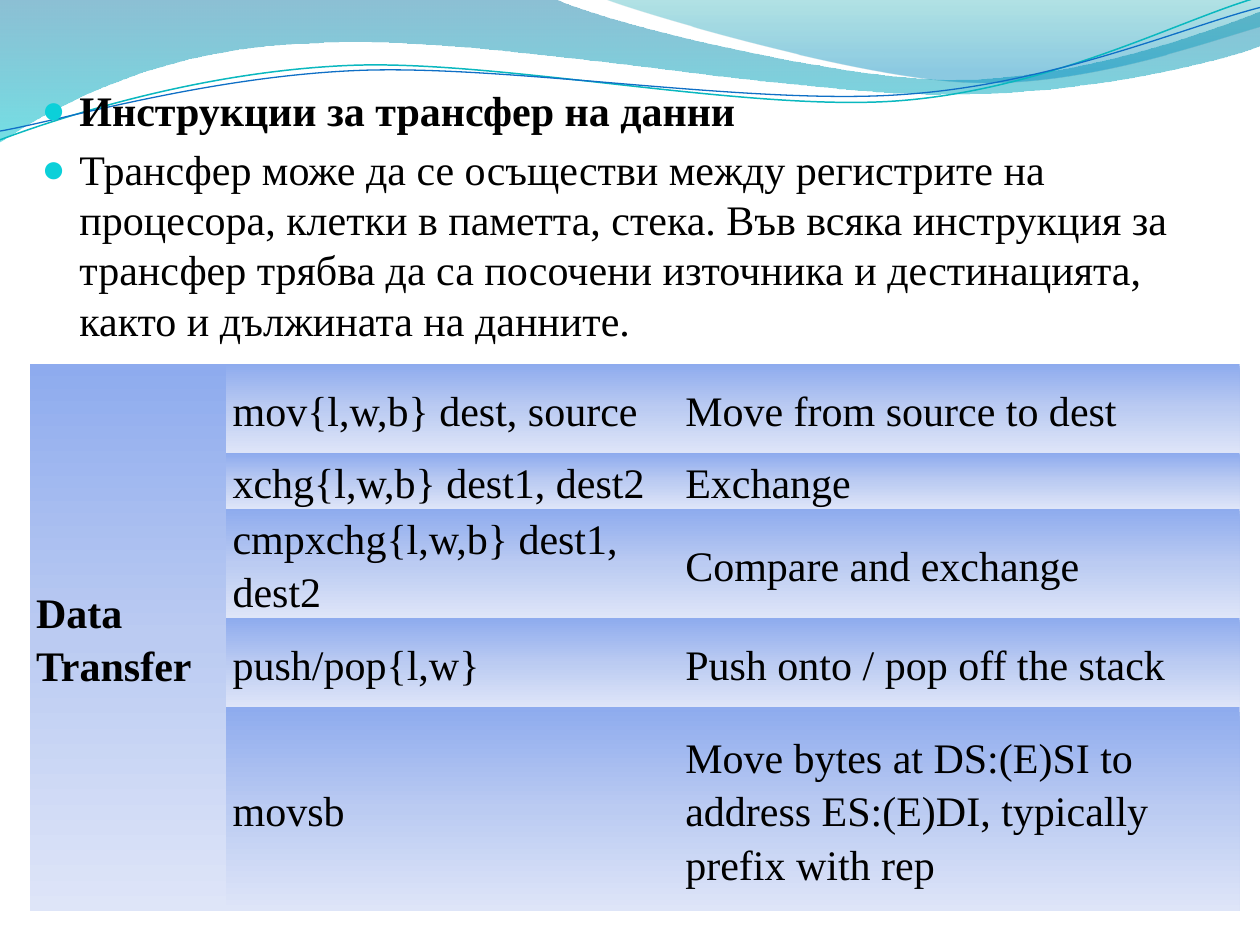
from dataclasses import dataclass
from math import cos, radians, sin

from lxml.etree import SubElement
from pptx import Presentation
from pptx.dml.color import RGBColor
from pptx.enum.text import MSO_ANCHOR, MSO_AUTO_SIZE
from pptx.oxml.ns import qn
from pptx.util import Pt


@dataclass(frozen=True)
class Theme:
    font: str = "Times New Roman"
    size: int = 24
    text: str = "000000"
    bullet: str = "0BD0D9"
    teal_line: str = "0AB8BF"
    blue_line: str = "0F6FC6"
    # Gradient stops: position %, colour, opacity %
    wide_wave: tuple = ((0, "0074A1", 45), (100, "00C6CF", 55))
    upper_wave: tuple = ((0, "00A1A9", 30), (80, "008BBF", 45))
    cell: tuple = ((0, "8EABEE", 100), (50, "BBCBF2", 100), (100, "DEE5F8", 100))


THEME = Theme()
NO_GRID_STYLE = "{2D5ABB26-0587-4C30-8999-92F81FD0307C}"
CURVE_TILT = -2.7

# Wave outlines in points: a pair is a straight step, six numbers are a cubic curve
WIDE_WAVE = [
    (0, 0), (316.8, -0.7),
    (342.7, 12.2, 478.1, 45.4, 545.8, 45.4),
    (614.2, 45.4, 689.8, 18.7, 720, 6.5),
    (720.7, 25.9),
    (707.8, 31.7, 626.4, 54.7, 537.1, 54),
    (447.8, 54, 275, 20.2, 185, 24.5),
    (92.9, 25.9, 33.1, 59.8, -0.7, 81.4),
    (0, 0),
]
UPPER_WAVE = [
    (344.9, -0.7),
    (366.5, 7.9, 491, 44.6, 553.7, 46.8),
    (619.2, 49.7, 691.9, 23, 720, 15.1),
    (720, 0), (344.9, -0.7),
]
TEAL_CURVE = [
    (0, 79.9),
    (34.6, 67, 113.8, 41, 199.4, 37.4),
    (284.4, 33.8, 427, 64.1, 513.4, 57.6),
    (599.8, 51.1, 675.4, 10.8, 718.6, -1.4),
]
BLUE_CURVE = [
    (0, 74.9),
    (33.8, 69.1, 118.1, 43.9, 203.8, 40.3),
    (290.2, 36.7, 429.8, 60.5, 516.2, 54),
    (601.9, 48.2, 677.5, 15.1, 720, 4.3),
]

BULLETS = [
    ("Инструкции за трансфер на данни", True),
    ("Трансфер може да се осъществи между регистрите на процесора, клетки в "
     "паметта, стека. Във всяка инструкция за трансфер трябва да са посочени "
     "източника и дестинацията, както и дължината на данните.", False),
]
GROUP = "Data Transfer"
INSTRUCTIONS = [
    ("mov{l,w,b} dest, source", "Move from source to dest"),
    ("xchg{l,w,b} dest1, dest2", "Exchange"),
    ("cmpxchg{l,w,b} dest1, dest2", "Compare and exchange"),
    ("push/pop{l,w}", "Push onto / pop off the stack"),
    ("movsb", "Move bytes at DS:(E)SI to address ES:(E)DI, typically prefix with rep"),
]
COLUMN_WIDTHS = (112.3, 258.7, 320.5)
ROW_HEIGHTS = (50.8, 18, 50.8, 50.8, 116.5)


def set_values(target, values):
    for name, value in values.items():
        setattr(target, name, value)


def set_gradient(fill, properties, stops):
    """Fill from top to bottom with stops that may be transparent."""
    fill.gradient()
    gradient = properties.find(qn("a:gradFill"))
    for child in list(gradient):
        gradient.remove(child)
    stop_list = SubElement(gradient, qn("a:gsLst"))
    for position, color, opacity in stops:
        stop = SubElement(stop_list, qn("a:gs"), pos=str(position * 1000))
        color_element = SubElement(stop, qn("a:srgbClr"), val=color)
        if opacity < 100:
            SubElement(color_element, qn("a:alpha"), val=str(opacity * 1000))
    SubElement(gradient, qn("a:lin"), ang="5400000", scaled="0")


def turn(point, center, degrees):
    angle = radians(degrees)
    x, y = point[0] - center[0], point[1] - center[1]
    return (center[0] + x * cos(angle) - y * sin(angle),
            center[1] + x * sin(angle) + y * cos(angle))


def add_outline(slide, outline, close, tilt=0, center=(0, 0)):
    """Build a freeform through all points, then join control points into curves."""
    points = [turn(step[i:i + 2], center, -tilt)
              for step in outline for i in range(0, len(step), 2)]
    points = [(Pt(x), Pt(y)) for x, y in points]
    builder = slide.shapes.build_freeform(*points[0])
    builder.add_line_segments(points[1:], close=close)
    shape = builder.convert_to_shape()
    segments = iter(list(shape._element.iter(qn("a:lnTo"))))
    for step in outline[1:]:
        lines = [next(segments) for _ in range(len(step) // 2)]
        if len(lines) == 3:
            curve = lines[0].makeelement(qn("a:cubicBezTo"))
            lines[0].addprevious(curve)
            for line in lines:
                curve.append(line[0])
                line.getparent().remove(line)
    shape.rotation = tilt
    shape.shadow.inherit = False
    return shape


def add_wave(slide, outline, stops):
    shape = add_outline(slide, outline, True)
    set_gradient(shape.fill, shape._element.spPr, stops)
    shape.line.fill.background()


def add_curve(slide, outline, center, color, width):
    shape = add_outline(slide, outline, False, CURVE_TILT, center)
    shape.fill.background()
    shape.line.color.rgb = RGBColor.from_string(color)
    shape.line.width = Pt(width)


def add_text(paragraph, text, bold):
    run = paragraph.add_run()
    run.text = text
    set_values(run.font, {"name": THEME.font, "size": Pt(THEME.size), "bold": bold})
    run.font.color.rgb = RGBColor.from_string(THEME.text)


def add_bullet(paragraph):
    properties = paragraph._p.get_or_add_pPr()
    properties.set("marL", str(Pt(21.6)))
    properties.set("indent", str(-Pt(21.6)))
    color = SubElement(properties, qn("a:buClr"))
    SubElement(color, qn("a:srgbClr"), val=THEME.bullet)
    SubElement(properties, qn("a:buSzPct"), val="95000")
    SubElement(properties, qn("a:buChar"), char="●")


def fill_body(slide, body):
    set_values(body, {"left": Pt(16.6), "top": Pt(44.6), "width": Pt(692), "height": Pt(163.5)})
    frame = body.text_frame
    set_values(frame, {"word_wrap": True, "auto_size": MSO_AUTO_SIZE.NONE,
                       "vertical_anchor": MSO_ANCHOR.TOP})
    for index, (text, bold) in enumerate(BULLETS):
        paragraph = frame.add_paragraph() if index else frame.paragraphs[0]
        add_bullet(paragraph)
        set_values(paragraph, {"line_spacing": 1.0, "space_before": Pt(4.8 if index else 0)})
        add_text(paragraph, text, bold)
    # Bring the text in front of the waves
    slide.shapes._spTree.append(body._element)


def fill_cell(cell, text, bold=False):
    margins = dict.fromkeys(("margin_left", "margin_right", "margin_top", "margin_bottom"), Pt(0.75))
    set_values(cell, {"vertical_anchor": MSO_ANCHOR.MIDDLE, **margins})
    set_gradient(cell.fill, cell._tc.get_or_add_tcPr(), THEME.cell)
    paragraph = cell.text_frame.paragraphs[0]
    paragraph._p.get_or_add_pPr().set("marL", str(Pt(3)))
    set_values(paragraph, {"line_spacing": 1.15, "space_after": Pt(5)})
    add_text(paragraph, text, bold)


def add_instruction_table(slide):
    table = slide.shapes.add_table(
        len(ROW_HEIGHTS), len(COLUMN_WIDTHS), Pt(16.9), Pt(208),
        Pt(sum(COLUMN_WIDTHS)), Pt(sum(ROW_HEIGHTS))).table
    set_values(table, {"first_row": False, "horz_banding": False})
    table._tbl.tblPr.find(qn("a:tableStyleId")).text = NO_GRID_STYLE
    for column, width in zip(table.columns, COLUMN_WIDTHS):
        column.width = Pt(width)
    for row, height in zip(table.rows, ROW_HEIGHTS):
        row.height = Pt(height)
    table.cell(0, 0).merge(table.cell(len(ROW_HEIGHTS) - 1, 0))
    fill_cell(table.cell(0, 0), GROUP, True)
    for row_index, texts in enumerate(INSTRUCTIONS):
        for column_index, text in enumerate(texts, start=1):
            fill_cell(table.cell(row_index, column_index), text)


def main():
    presentation = Presentation()
    set_values(presentation, {"slide_width": Pt(720), "slide_height": Pt(540)})
    slide = presentation.slides.add_slide(presentation.slide_layouts[1])
    title = slide.shapes.title
    title._element.getparent().remove(title._element)

    # Waves along the top edge
    add_wave(slide, WIDE_WAVE, THEME.wide_wave)
    add_wave(slide, UPPER_WAVE, THEME.upper_wave)
    add_curve(slide, TEAL_CURVE, (359.3, 41.4), THEME.teal_line, 0.85)
    add_curve(slide, BLUE_CURVE, (359.6, 42.5), THEME.blue_line, 0.75)

    # Text and instruction table
    fill_body(slide, slide.placeholders[1])
    add_instruction_table(slide)
    presentation.save("out.pptx")


if __name__ == "__main__":
    main()
